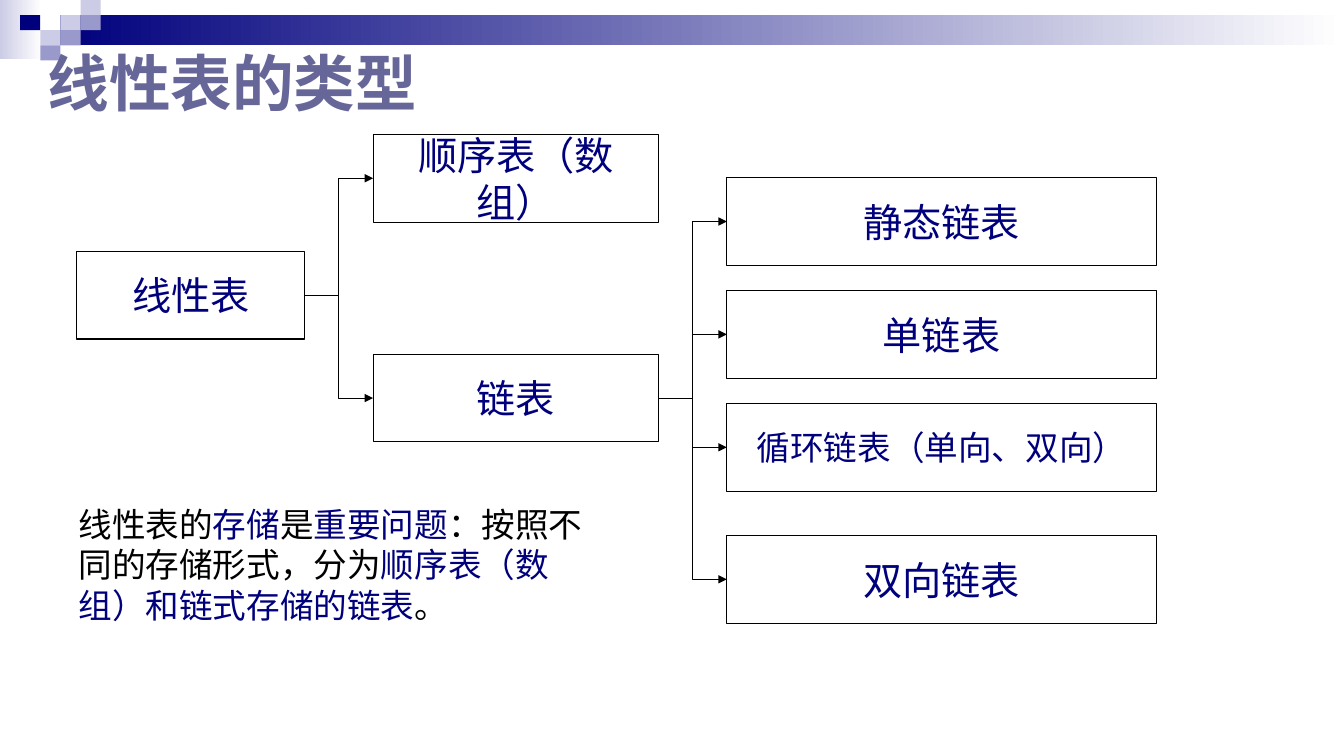
import pptx
import pptx.dml.color
import pptx.enum.shapes
import pptx.enum.text
import pptx.oxml.ns
import pptx.util
from lxml import etree

Pt = pptx.util.Pt
qn = pptx.oxml.ns.qn
RECT = pptx.enum.shapes.MSO_SHAPE.RECTANGLE
ELBOW = pptx.enum.shapes.MSO_CONNECTOR.ELBOW
MIDDLE = pptx.enum.text.MSO_ANCHOR.MIDDLE
CENTER = pptx.enum.text.PP_ALIGN.CENTER
LEFT = pptx.enum.text.PP_ALIGN.LEFT
SANS = "Noto Sans CJK SC"
COLORS = {"navy": "00007D", "mid": "9999CC", "pale": "CCCCE6",
          "title": "666699", "white": "FFFFFF", "black": "000000"}


def rgb(name):
    """Return the named colour."""
    return pptx.dml.color.RGBColor.from_string(COLORS[name])


def style(para, size, color, face=SANS, align=LEFT):
    """Set the font and alignment of a paragraph."""
    para.alignment = align
    font = para.font
    font.size = Pt(size)
    font.color.rgb = rgb(color)
    font.name = face
    east = etree.SubElement(para._p.pPr.find(qn("a:defRPr")), qn("a:ea"))
    east.set("typeface", SANS)


def block(slide, box, fill, end=None):
    """Draw a plain rectangle, or one that fades to the end colour."""
    shape = slide.shapes.add_shape(RECT, *map(Pt, box))
    shape.shadow.inherit = False
    shape.line.fill.background()
    if end:
        shape.fill.gradient()
        shape.fill.gradient_angle = 0
        for stop, name in zip(shape.fill.gradient_stops, (fill, end)):
            stop.color.rgb = rgb(name)
    else:
        shape.fill.solid()
        shape.fill.fore_color.rgb = rgb(fill)
    return shape


def banner(slide, box):
    """Draw the fading bar and the mosaic of small tiles."""
    left, top, width, height = box
    wide, high = 14.4, height / 4
    block(slide, (left, top, 30, height - 1), "pale", "white")
    block(slide, (left + 3 * wide, top + high, width - 3 * wide, 2 * high),
          "navy", "white")
    tiles = [(3, 1, "pale"), (4, 0, "pale"), (4, 1, "mid"), (2, 2, "pale"),
             (1, 1, "navy"), (3, 2, "mid"), (2, 3, "mid")]
    for col, row, color in tiles:
        block(slide, (left + col * wide, top + row * high, wide, high), color)


def title(slide, box, text):
    """Write the slide title."""
    frame = slide.shapes.add_textbox(*map(Pt, box)).text_frame
    frame.word_wrap = True
    frame.vertical_anchor = MIDDLE
    para = frame.paragraphs[0]
    para.text = text
    style(para, 44, "title", "Arial")
    para.font.bold = True


def node(slide, box, text, size=28):
    """Draw one outlined box of the tree."""
    shape = block(slide, box, "white")
    shape.line.color.rgb = rgb("black")
    shape.line.width = Pt(0.75)
    frame = shape.text_frame
    frame.word_wrap = True
    frame.vertical_anchor = MIDDLE
    para = frame.paragraphs[0]
    para.text = text
    style(para, size, "navy", align=CENTER)
    return shape


def join(slide, start, end):
    """Link two boxes by an elbow arrow."""
    link = slide.shapes.add_connector(
        ELBOW, start.left + start.width, start.top + start.height // 2,
        end.left, end.top + end.height // 2)
    link.begin_connect(start, 3)
    link.end_connect(end, 1)
    link.line.color.rgb = rgb("black")
    link.line.width = Pt(0.75)
    etree.SubElement(link.line._get_or_add_ln(), qn("a:tailEnd"), type="triangle")
    etree.SubElement(link._element.spPr, qn("a:effectLst"))


def tree(slide, box):
    """Draw the tree of list types."""
    left, top, width, _ = box
    high = 62.7
    root = node(slide, (left, top + 83.5, 162.7, high), "线性表")
    kinds = [node(slide, (left + 211.6, top + drop, 204, high), text)
             for drop, text in [(0, "顺序表（数组）"), (157, "链表")]]
    leaves = [("静态链表", 30.9, 28), ("单链表", 111.5, 28),
              ("循环链表（单向、双向）", 192.2, 24), ("双向链表", 286.5, 28)]
    span = 306.7
    ends = [node(slide, (left + width - span, top + drop, span, high), text, size)
            for text, drop, size in leaves]
    for start, group in ((root, kinds), (kinds[1], ends)):
        for end in group:
            join(slide, start, end)


def note(slide, box, parts):
    """Write the remark, with runs in black and navy by turns."""
    frame = slide.shapes.add_textbox(*map(Pt, box)).text_frame
    frame.word_wrap = True
    para = frame.paragraphs[0]
    style(para, 24, "black")
    for spot, text in enumerate(parts):
        run = para.add_run()
        run.text = text
        run.font.color.rgb = rgb("navy" if spot % 2 else "black")


def main():
    """Build and save the slide."""
    deck = pptx.Presentation()
    deck.slide_width, deck.slide_height = Pt(960), Pt(540)
    slide = deck.slides.add_slide(deck.slide_layouts[6])
    banner(slide, (0, 0, 960, 43.2))
    title(slide, (26.9, 34.6, 284.4, 48.2), "线性表的类型")
    tree(slide, (54.9, 96, 771, 349.2))
    note(slide, (49, 356.4, 386.6, 94.3),
         ["线性表的", "存储", "是", "重要问题", "：按照不同的存储形式，分为",
          "顺序表（数组）和链式存储的链表", "。"])
    deck.save("out.pptx")


if __name__ == "__main__":
    main()
